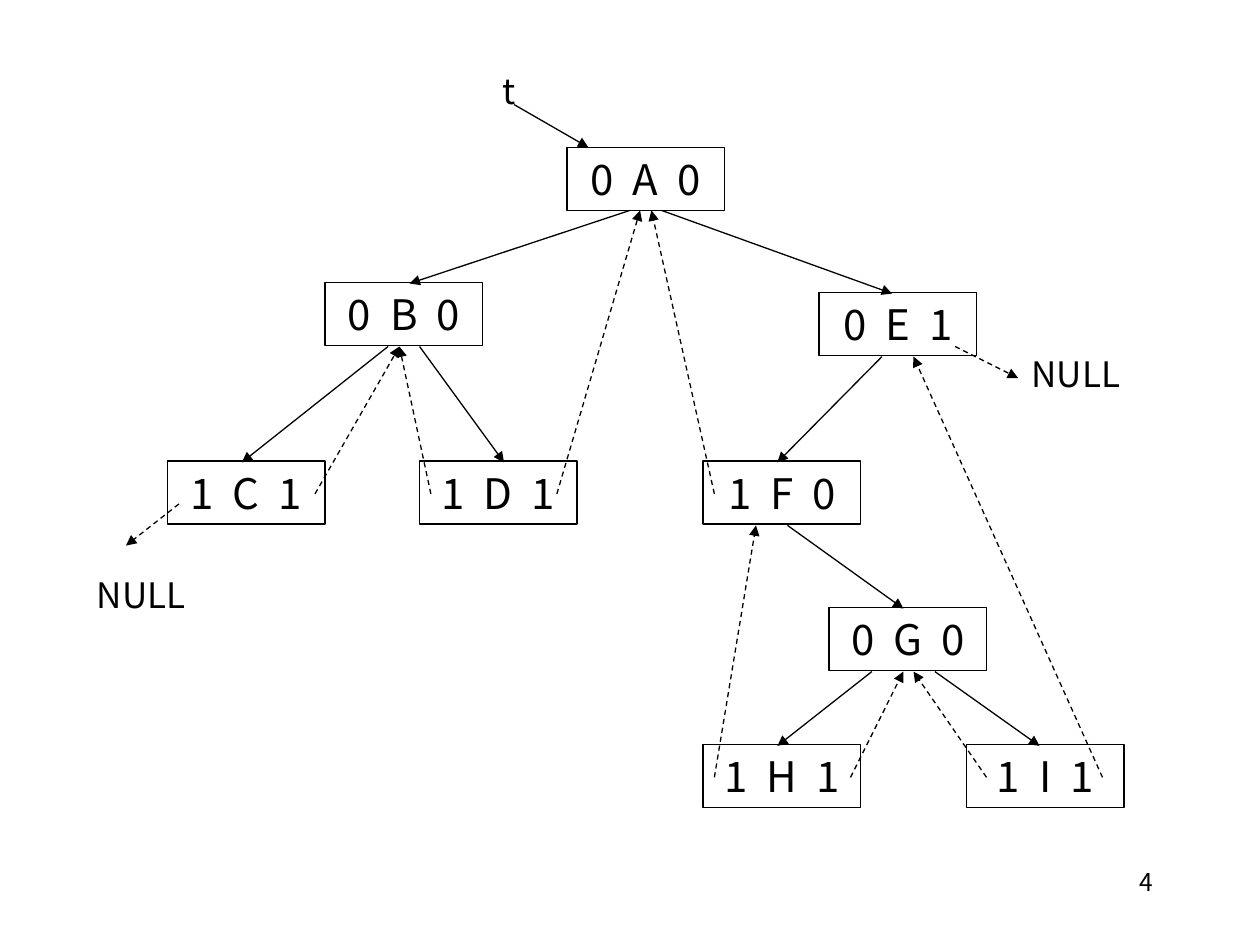
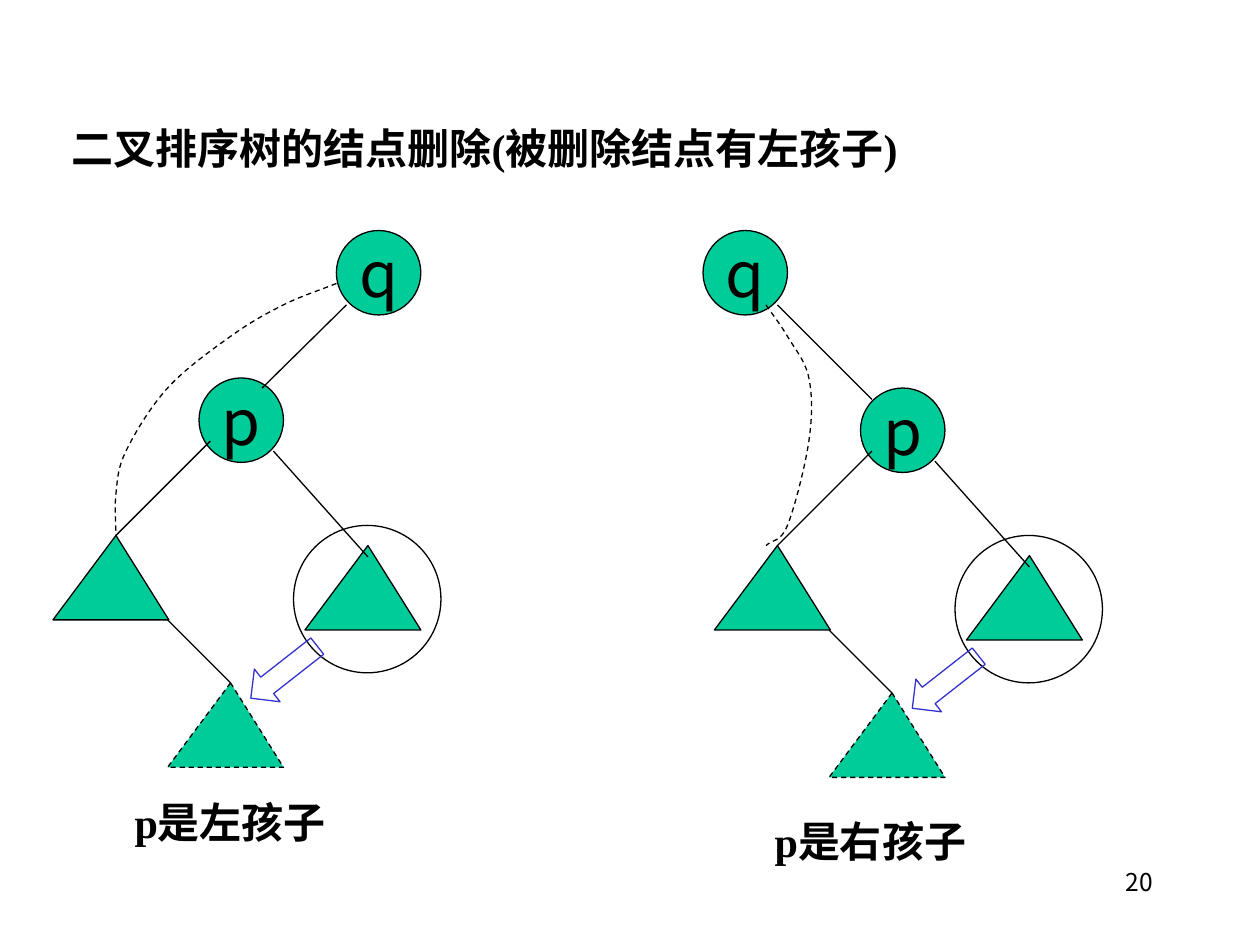
from dataclasses import dataclass
from typing import NamedTuple

from lxml.etree import SubElement
from pptx import Presentation
from pptx.dml.color import RGBColor
from pptx.enum.dml import MSO_LINE
from pptx.enum.shapes import MSO_CONNECTOR, MSO_SHAPE
from pptx.enum.text import MSO_ANCHOR as Anchor, MSO_AUTO_SIZE as AutoSize, PP_ALIGN as Align
from pptx.oxml.ns import qn
from pptx.util import Inches, Pt

COLORS = {"ink": "000000", "node": "00CC99", "arrow": "3333CC"}
SANS, SERIF = "Noto Sans CJK JP", "Times New Roman"
LINE_WIDTH = Pt(0.75)

Point = tuple[float, float]


# Shared drawing helpers
def color(name: str) -> RGBColor:
    return RGBColor.from_string(COLORS[name])


def outline(shape, ink: str = "ink", dashed: bool = False) -> None:
    shape.line.color.rgb = color(ink)
    shape.line.width = LINE_WIDTH
    if dashed:
        shape.line.dash_style = MSO_LINE.DASH


def finish(shape, fill: str | None = None, ink: str = "ink", dashed: bool = False) -> None:
    shape.shadow.inherit = False
    if fill:
        shape.fill.solid()
        shape.fill.fore_color.rgb = color(fill)
    else:
        shape.fill.background()
    outline(shape, ink, dashed)


def write(shape, parts: list[str], size: float, align=Align.CENTER, anchor=Anchor.TOP,
          wrap: bool = True, grow: bool = True, font: str = SANS, gap: float = 0) -> None:
    """Write the parts as runs; gap widens the runs that are a single space."""
    frame = shape.text_frame
    frame.word_wrap = wrap
    frame.vertical_anchor = anchor
    frame.auto_size = AutoSize.SHAPE_TO_FIT_TEXT if grow else AutoSize.NONE
    para = frame.paragraphs[0]
    para.alignment = align
    for part in parts:
        span = para.add_run()
        span.text = part
        span.font.size = Pt(size)
        span.font.name = font
        span.font.bold = font == SERIF
        span.font.color.rgb = color("ink")
        props = span._r.get_or_add_rPr()
        SubElement(props, qn("a:ea")).set("typeface", SANS)
        if gap and part == " ":
            props.set("spc", str(round(gap * 100)))


def add_preset(page, kind, left: float, top: float, width: float, height: float, **look):
    shape = page.shapes.add_shape(kind, Inches(left), Inches(top), Inches(width), Inches(height))
    finish(shape, **look)
    return shape


def add_text(page, text: str, left: float, top: float, width: float, height: float,
             size: float, **style) -> None:
    box = page.shapes.add_textbox(Inches(left), Inches(top), Inches(width), Inches(height))
    write(box, [text], size, **style)


def add_heading(page, text: str, left: float, top: float, width: float) -> None:
    add_text(page, text, left, top, width, 0.5, 24, align=Align.LEFT, wrap=False, font=SERIF)


def add_line(page, start: Point, end: Point, dashed: bool = False, arrow: bool = False) -> None:
    line = page.shapes.add_connector(MSO_CONNECTOR.STRAIGHT, *map(Inches, start + end))
    outline(line, dashed=dashed)
    props = line._element.spPr
    if arrow:
        SubElement(line.line._get_or_add_ln(), qn("a:tailEnd")).set("type", "triangle")
    SubElement(props, qn("a:effectLst"))


def add_page_number(page, number: int) -> None:
    add_text(page, str(number), 7.17, 6.83, 2.08, 0.5, 14, align=Align.RIGHT, grow=False)


def add_outline(page, points: list[Point], close: bool):
    (first, *rest) = [(Inches(x), Inches(y)) for x, y in points]
    builder = page.shapes.build_freeform(*first)
    builder.add_line_segments(rest, close=close)
    return builder.convert_to_shape()


def add_curve(page, knots: list[Point]) -> None:
    """Dashed smooth curve through the knots, as cubic Bezier segments."""
    shape = add_outline(page, knots, close=False)
    finish(shape, dashed=True)
    spots = [(int(p.get("x")), int(p.get("y"))) for p in shape._element.iter(qn("a:pt"))]

    def mirror(end: Point, inner: Point) -> Point:
        return 2 * end[0] - inner[0], 2 * end[1] - inner[1]

    chain = [mirror(spots[0], spots[1]), *spots, mirror(spots[-1], spots[-2])]
    segments = list(shape._element.iter(qn("a:lnTo")))
    for segment, before, start, end, after in zip(segments, chain, chain[1:], chain[2:], chain[3:]):
        leave = [s + (e - b) / 6 for b, s, e in zip(before, start, end)]
        arrive = [e - (a - s) / 6 for s, e, a in zip(start, end, after)]
        parent = segment.getparent()
        bend = SubElement(parent, qn("a:cubicBezTo"))
        for x, y in (leave, arrive, end):
            spot = SubElement(bend, qn("a:pt"))
            spot.set("x", str(round(x)))
            spot.set("y", str(round(y)))
        parent.replace(segment, bend)


# Slide 1: threaded binary tree
class TreeNode(NamedTuple):
    label: str
    left: float
    top: float


class Link(NamedTuple):
    start: Point
    end: Point


TREE_NODES = [
    TreeNode("0 A 0", 4.5, 1.17),
    TreeNode("0 B 0", 2.58, 2.24), TreeNode("0 E 1", 6.5, 2.32),
    TreeNode("1 C 1", 1.33, 3.66), TreeNode("1 D 1", 3.33, 3.66), TreeNode("1 F 0", 5.58, 3.66),
    TreeNode("0 G 0", 6.58, 4.82),
    TreeNode("1 H 1", 5.58, 5.91), TreeNode("1 I 1", 7.67, 5.91),
]
CHILD_LINKS = [
    Link((5, 1.67), (3.25, 2.25)), Link((5.25, 1.67), (7.08, 2.33)),
    Link((3.08, 2.75), (1.92, 3.67)), Link((3.33, 2.75), (4, 3.67)),
    Link((7, 2.83), (6.17, 3.67)), Link((6.25, 4.17), (7.17, 4.83)),
    Link((6.92, 5.33), (6.17, 5.92)), Link((7.42, 5.33), (8.25, 5.92)),
    Link((4.08, 0.83), (4.67, 1.17)),
]
THREADS = [
    Link((1.42, 4), (1, 4.33)), Link((7.58, 2.75), (8.08, 3)),
    Link((2.5, 3.92), (3.17, 2.75)), Link((3.42, 3.92), (3.17, 2.75)),
    Link((4.42, 3.92), (5.08, 1.67)), Link((5.67, 3.92), (5.17, 1.67)),
    Link((5.67, 6.17), (6, 4.17)), Link((6.75, 6.17), (7.17, 5.33)),
    Link((7.83, 6.17), (7.25, 5.33)), Link((8.75, 6.17), (7.25, 2.83)),
]


def draw_threaded_tree(page) -> None:
    for node in TREE_NODES:
        box = add_preset(page, MSO_SHAPE.RECTANGLE, node.left, node.top, 1.25, 0.5)
        write(box, list(node.label), 24, gap=5.4)
    for link in CHILD_LINKS:
        add_line(page, link.start, link.end, arrow=True)
    for thread in THREADS:
        add_line(page, thread.start, thread.end, dashed=True, arrow=True)
    for text, left, top, width in (("NULL", 0.58, 4.5, 1.08), ("NULL", 8, 2.75, 1.08),
                                   ("t", 3.75, 0.5, 0.58)):
        add_text(page, text, left, top, width, 0.44, 20)
    add_page_number(page, 4)


# Slide 2: deleting a node that has a left child
@dataclass
class DeletionCase:
    dx: float
    dy: float
    q_left: float
    q_link: Link
    bypass: list[Point]
    caption: str
    caption_at: Point


DELETION_CASES = [
    DeletionCase(0, 0, 2.67, Link((2.75, 2.42), (2.08, 3.08)),
                 [(2.67, 2.25), (2.25, 2.42), (1.83, 2.67), (1.33, 3.08), (1, 3.58),
                  (0.92, 3.92), (0.92, 4.25)],
                 "p是左孩子", (0.97, 6.27)),
    DeletionCase(5.25, 0.08, 5.58, Link((6.17, 2.42), (6.92, 3.17)),
                 [(6.08, 2.42), (6.25, 2.67), (6.42, 3), (6.42, 3.5), (6.25, 4.17),
                  (6.08, 4.33)],
                 "p是右孩子", (6.05, 6.42)),
]
# Within a case: apex of each subtree, and the edges below p
LEFT_SUBTREE, RIGHT_SUBTREE, MOVED_SUBTREE = (0.92, 4.25), (2.92, 4.33), (1.83, 5.42)
P_EDGES = [Link((2.17, 3.58), (2.92, 4.42)), Link((1.67, 3.5), LEFT_SUBTREE),
           Link((1.33, 4.92), MOVED_SUBTREE)]


def add_circle_node(page, label: str, left: float, top: float) -> None:
    circle = add_preset(page, MSO_SHAPE.OVAL, left, top, 0.67, 0.67, fill="node")
    write(circle, [label], 36, anchor=Anchor.MIDDLE, wrap=False, grow=False)


def add_subtree(page, apex: Point, dashed: bool = False) -> None:
    x, y = apex
    corners = [apex, (x - 0.5, y + 0.67), (x + 0.42, y + 0.67)]
    finish(add_outline(page, corners, close=True), fill="node", dashed=dashed)


def draw_deletion_case(page, case: DeletionCase) -> None:
    def place(point: Point) -> Point:
        return point[0] + case.dx, point[1] + case.dy

    add_circle_node(page, "q", case.q_left, 1.83)
    add_circle_node(page, "p", *place((1.58, 3)))
    add_subtree(page, place(RIGHT_SUBTREE))
    add_subtree(page, place(LEFT_SUBTREE))
    add_subtree(page, place(MOVED_SUBTREE), dashed=True)
    add_line(page, case.q_link.start, case.q_link.end)
    for edge in P_EDGES:
        add_line(page, place(edge.start), place(edge.end))
    add_curve(page, case.bypass)
    add_preset(page, MSO_SHAPE.OVAL, *place((2.33, 4.17)), 1.17, 1.17)
    arrow = add_preset(page, MSO_SHAPE.LEFT_ARROW, *place((1.92, 5.17)), 0.67, 0.33, ink="arrow")
    arrow.rotation = 321.9
    add_heading(page, case.caption, *case.caption_at, 1.8)


def draw_deletion(page) -> None:
    add_heading(page, "二叉排序树的结点删除(被删除结点有左孩子)", 0.47, 0.92, 6.99)
    for case in DELETION_CASES:
        draw_deletion_case(page, case)
    add_page_number(page, 20)


def main() -> None:
    deck = Presentation()
    deck.slide_width, deck.slide_height = Inches(10), Inches(7.5)
    for draw in (draw_threaded_tree, draw_deletion):
        draw(deck.slides.add_slide(deck.slide_layouts[6]))
    deck.save("out.pptx")


if __name__ == "__main__":
    main()
